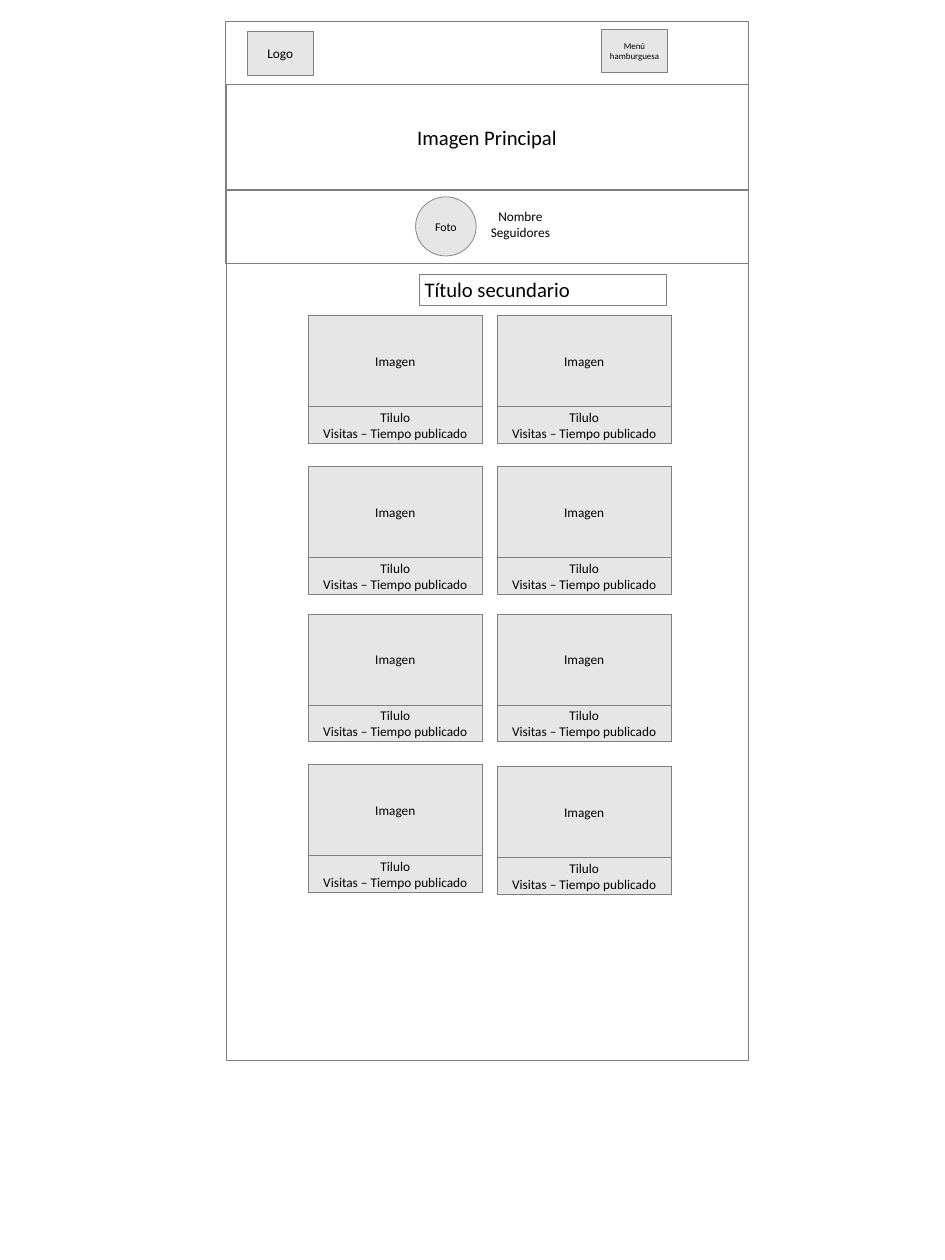
from pptx import Presentation
from pptx.dml.color import RGBColor
from pptx.enum.shapes import MSO_SHAPE as Kind
from pptx.enum.text import MSO_ANCHOR as Anchor, PP_ALIGN as Align
from pptx.util import Pt

GRAY, WHITE, LINE, INK = "E7E6E6", "FFFFFF", "808080", "000000"
CARD_W, CARD_H, IMAGE_H = 235.4, 172.8, 123.3
COLS = (417.2, 672.8)
ROWS = ((427, 427), (631.4, 631.4), (831, 831), (1034.6, 1037.5))


def color(code):
    return RGBColor.from_string(code)


def write(shape, lines, size, align):
    frame = shape.text_frame
    frame.word_wrap = True
    frame.vertical_anchor = Anchor.MIDDLE
    for i, line in enumerate(lines):
        para = frame.add_paragraph() if i else frame.paragraphs[0]
        para.alignment = align
        run = para.add_run()
        run.text = line
        run.font.name = "Calibri"
        run.font.size = Pt(size)
        run.font.color.rgb = color(INK)


def box(shapes, left, top, width, height, lines=(), size=18, fill=None,
        line=LINE, kind=Kind.RECTANGLE, align=Align.CENTER):
    shape = shapes.add_shape(kind, Pt(left), Pt(top), Pt(width), Pt(height))
    shape.shadow.inherit = False
    if fill:
        shape.fill.solid()
        shape.fill.fore_color.rgb = color(fill)
    else:
        shape.fill.background()
    if line:
        shape.line.color.rgb = color(line)
        shape.line.width = Pt(1)
    else:
        shape.line.fill.background()
    write(shape, lines, size, align)


def card(shapes, left, top):
    group = shapes.add_group_shape().shapes
    box(group, left, top, CARD_W, CARD_H, fill=GRAY)
    box(group, left, top, CARD_W, IMAGE_H, ["Imagen"])
    box(group, left, top + IMAGE_H, CARD_W, CARD_H - IMAGE_H,
        ["Tilulo", "Visitas – Tiempo publicado"])


def header(shapes):
    left, width = 305.3, 707
    box(shapes, left, 29.5, width, 85, fill=WHITE)
    box(shapes, left, 114.5, width, 142.5, ["Imagen Principal"], 28)
    box(shapes, left, 256.3, width, 100)
    box(shapes, 334.8, 42.5, 88.6, 59, ["Logo"], fill=GRAY)
    box(shapes, 814.3, 39.6, 88.6, 59, ["Menú hamburguesa"], 12, GRAY)
    box(shapes, 562.3, 266.4, 82, 80, ["Foto"], 16, GRAY,
        kind=Kind.FLOWCHART_CONNECTOR)
    box(shapes, 655.2, 275, 98, 57.6, ["Nombre", "Seguidores"],
        fill=WHITE, line=None)


def main():
    deck = Presentation()
    deck.slide_width, deck.slide_height = Pt(1278.72), Pt(1704.96)
    shapes = deck.slides.add_slide(deck.slide_layouts[6]).shapes
    box(shapes, 306, 29.5, 706.3, 1404.7)
    header(shapes)
    box(shapes, 567.4, 371, 334.8, 42, ["Título secundario"], 28, WHITE,
        align=Align.LEFT)
    for tops in ROWS:
        for left, top in zip(COLS, tops):
            card(shapes, left, top)
    deck.save("out.pptx")


main()
